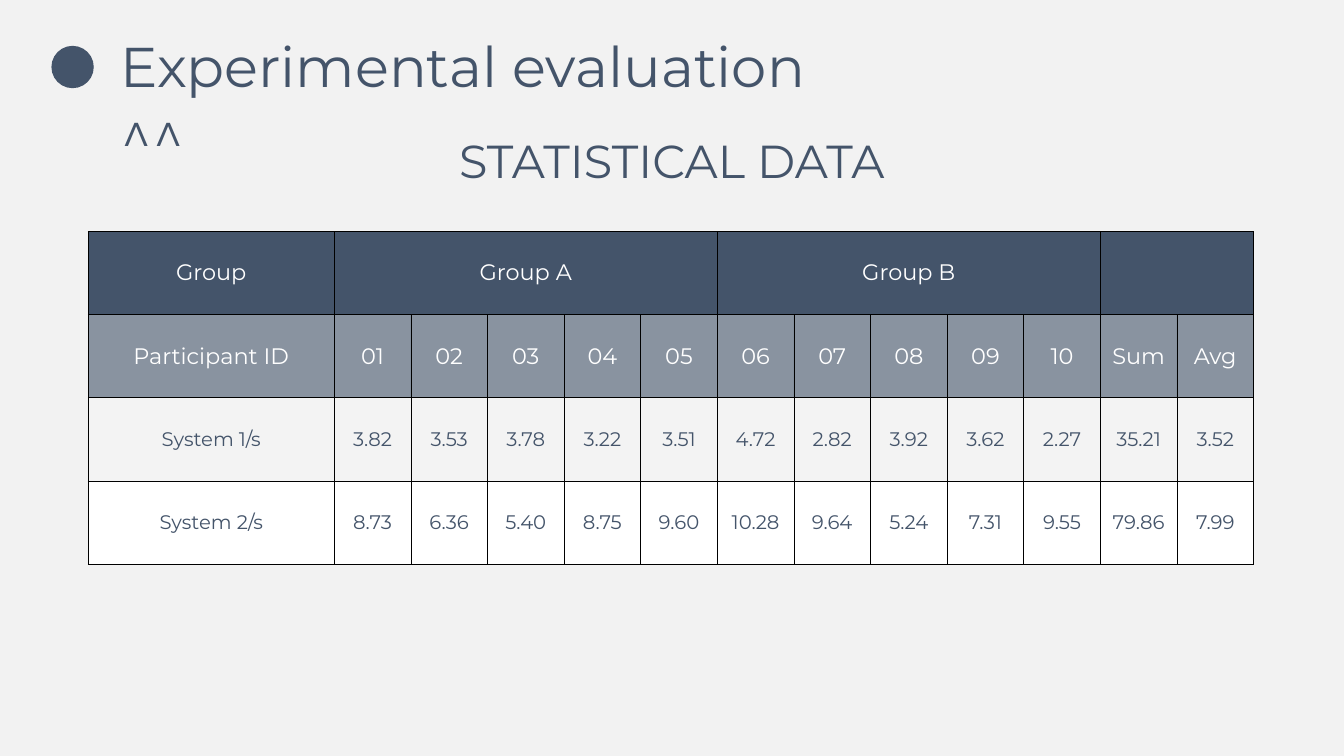
from lxml.etree import SubElement
from pptx import Presentation
from pptx.dml.color import RGBColor
from pptx.enum.shapes import MSO_SHAPE
from pptx.enum.text import MSO_ANCHOR, PP_ALIGN
from pptx.oxml.ns import qn
from pptx.util import Inches, Pt

NAVY, WHITE, BLACK = "44546A", "FFFFFF", "000000"
PAPER, PALE = "F2F2F2", "F3F3F3"

ROWS = [
    ["Group", "Group A", "", "", "", "", "Group B", "", "", "", "", "", ""],
    ["Participant ID", *[f"{i:02d}" for i in range(1, 11)], "Sum", "Avg"],
    ["System 1/s", "3.82", "3.53", "3.78", "3.22", "3.51", "4.72",
     "2.82", "3.92", "3.62", "2.27", "35.21", "3.52"],
    ["System 2/s", "8.73", "6.36", "5.40", "8.75", "9.60", "10.28",
     "9.64", "5.24", "7.31", "9.55", "79.86", "7.99"],
]
ROW_STYLES = [
    (NAVY, None, 32, WHITE),
    (NAVY, 60, 32, WHITE),
    (PALE, None, 28, NAVY),
    (WHITE, None, 28, NAVY),
]
HEADER_SPANS = [(1, 5), (6, 10), (11, 12)]


def rgb(color):
    return RGBColor.from_string(color)


class SlideBuilder:
    font = "Montserrat"

    def __init__(self, s):
        self.s = s

    def background(self, color):
        fill = self.s.background.fill
        fill.solid()
        fill.fore_color.rgb = rgb(color)

    def set_text(self, tf, text, size, color, align):
        tf.text = text
        for p in tf.paragraphs:
            p.alignment = align
            for r in p.runs:
                r.font.name = self.font
                r.font.size = Pt(size)
                r.font.color.rgb = rgb(color)

    def text(self, x, y, w, h, text, size, align=PP_ALIGN.LEFT):
        sp = self.s.shapes.add_textbox(Inches(x), Inches(y), Inches(w), Inches(h))
        sp.text_frame.word_wrap = True
        self.set_text(sp.text_frame, text, size, NAVY, align)

    def dot(self, x, y, size):
        sp = self.s.shapes.add_shape(
            MSO_SHAPE.OVAL, Inches(x), Inches(y), Inches(size), Inches(size))
        sp.shadow.inherit = False
        sp.fill.solid()
        sp.fill.fore_color.rgb = rgb(NAVY)
        sp.line.fill.background()

    def cell(self, cell, text, fill, alpha, size, color):
        cell.vertical_anchor = MSO_ANCHOR.MIDDLE
        self.set_text(cell.text_frame, text, size, color, PP_ALIGN.CENTER)
        cell.fill.solid()
        cell.fill.fore_color.rgb = rgb(fill)
        props = cell._tc.get_or_add_tcPr()
        if alpha:
            tint = props.find(qn("a:solidFill")).find(qn("a:srgbClr"))
            SubElement(tint, qn("a:alpha"), val=str(alpha * 1000))
        for i, side in enumerate(("lnL", "lnR", "lnT", "lnB")):
            line = SubElement(props, qn(f"a:{side}"), w=str(Pt(1)))
            SubElement(SubElement(line, qn("a:solidFill")), qn("a:srgbClr"), val=BLACK)
            props.insert(i, line)

    def table(self, x, y, widths, row_height, rows, styles, header_spans):
        table = self.s.shapes.add_table(
            len(rows), len(widths), Inches(x), Inches(y),
            Inches(sum(widths)), Inches(row_height * len(rows))).table
        for column, width in zip(table.columns, widths):
            column.width = Inches(width)
        for i, (values, style) in enumerate(zip(rows, styles)):
            table.rows[i].height = Inches(row_height)
            for j, value in enumerate(values):
                self.cell(table.cell(i, j), value, *style)
        for first, last in header_spans:
            table.cell(0, first).merge(table.cell(0, last))


def main():
    prs = Presentation()
    prs.slide_width, prs.slide_height = Inches(26.66), Inches(15)
    slide = SlideBuilder(prs.slides.add_slide(prs.slide_layouts[6]))
    slide.background(PAPER)
    slide.table(1.75, 4.59, [4.88] + [1.52] * 12, 1.65, ROWS, ROW_STYLES, HEADER_SPANS)
    slide.text(6.44, 2.57, 13.77, 1.21, "STATISTICAL DATA", 66, PP_ALIGN.CENTER)
    slide.dot(1.02, 0.91, 0.84)
    slide.text(2.29, 0.58, 14.86, 2.79, "Experimental evaluation\n^^", 80)
    prs.save("out.pptx")


if __name__ == "__main__":
    main()
